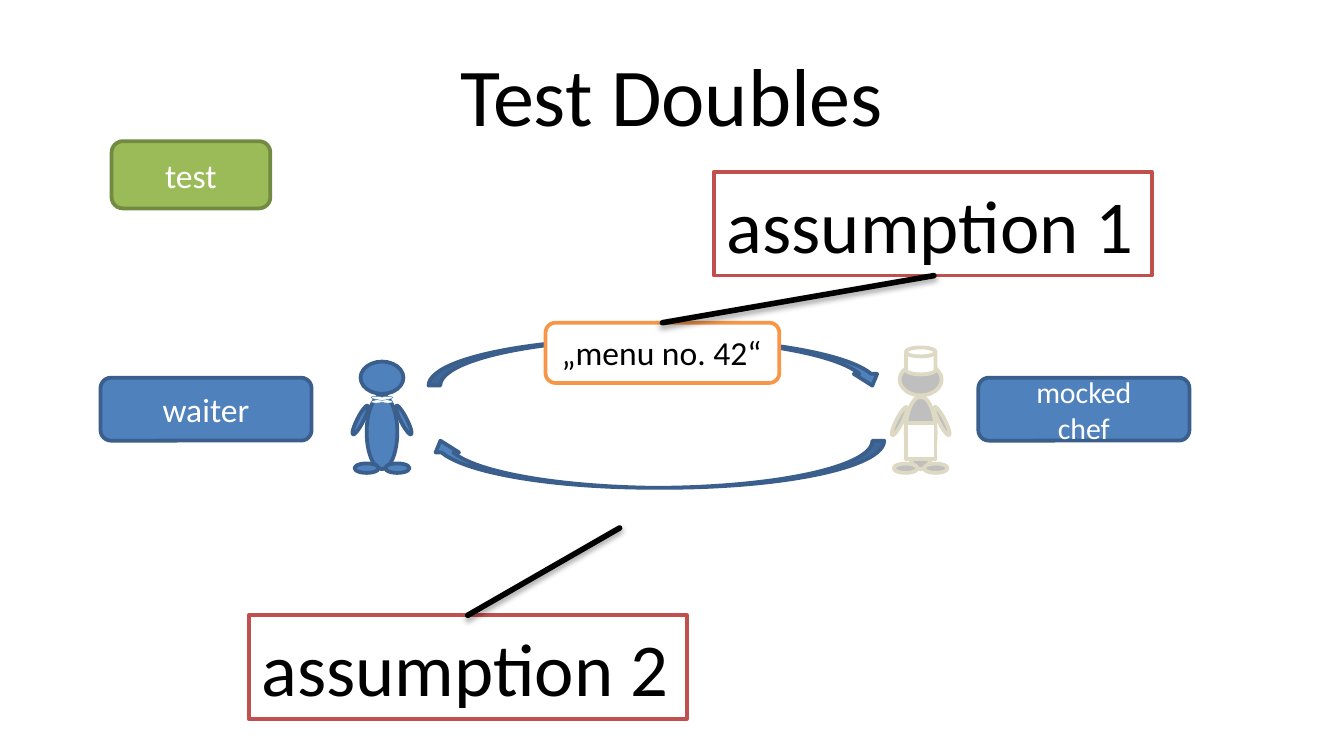
from lxml import etree
from pptx import Presentation
from pptx.dml.color import RGBColor
from pptx.enum import shapes, text
from pptx.oxml.ns import qn
from pptx.util import Cm, Pt

KIND = shapes.MSO_SHAPE
BLUE, NAVY, WHITE, BLACK = "4F81BD", "3A5F8C", "FFFFFF", "000000"
GREY, SAND, RED = "BFBFBF", "DDD9C3", "C0504D"

# Content: lengths in cm
TITLE = "Test Doubles"
# lines, size, box, fill, line
LABELS = [
    (["mocked", "chef"], 16, (18.49, 7.14, 3.99, 1.19), BLUE, NAVY),
    (["waiter"], 18, (1.9, 7.14, 3.99, 1.19), BLUE, NAVY),
    (["test"], 18, (2.11, 2.67, 3, 1.27), "9BBB59", "738A42"),
]
# words, size, kind, box, line
NOTES = [
    ("„menu no. 42“", 18, KIND.ROUNDED_RECTANGLE, (10.31, 6.1, 4.42, 1.14), "F79646"),
    ("assumption 1", 40, KIND.RECTANGLE, (13.49, 3.25, 8.28, 1.96), RED),
    ("assumption 2", 40, KIND.RECTANGLE, (4.7, 11.63, 8.28, 1.96), RED),
]
LINKS = [(17.65, 5.21, 12.52, 6.1), (8.84, 11.63, 11.71, 9.98)]
ARROWS = [((8.1, 6.4, 8.61, 0.89), 0), ((8.1, 8.33, 8.61, 0.89), 180)]

# Figure parts: kind, centre offset, centre height above floor, width, height, turn
FLOOR = 8.94
BODY = [
    (KIND.OVAL, 0, 1.8, 0.81, 0.61, 0),
    (KIND.OVAL, 0, 0.77, 0.58, 1.4, 0),
    (KIND.OVAL, 0.29, 0.09, 0.46, 0.18, 0),
    (KIND.OVAL, -0.29, 0.09, 0.46, 0.18, 0),
    (KIND.OVAL, 0.41, 1, 0.61, 0.12, 63),
    (KIND.OVAL, -0.41, 1, 0.61, 0.12, 117),
]
CHEF = [
    (KIND.FLOWCHART_MAGNETIC_DISK, 0, 2.16, 0.57, 0.52, 0),
    (KIND.RECTANGLE, 0, 0.61, 0.57, 0.7, 0),
]
BOW = [(KIND.HEART, 0, 1.36, 0.41, 0.08, 180), (KIND.HEART, 0, 1.41, 0.41, 0.08, 0)]
STUDS = [(KIND.OVAL, 0, y, 0.13, 0.08, 0) for y in (1.18, 1, 0.84)]


def rgb(code):
    return RGBColor.from_string(code)


def draw(home, kind, box, fill, line, width=2, turn=0):
    shape = home.add_shape(kind, *map(Cm, box))
    shape.shadow.inherit = False
    shape.rotation = turn
    shape.fill.solid()
    shape.fill.fore_color.rgb = rgb(fill)
    shape.line.color.rgb = rgb(line)
    shape.line.width = Pt(width)
    return shape


def write(frame, lines, size, color, align):
    for i, words in enumerate(lines):
        para = frame.add_paragraph() if i else frame.paragraphs[0]
        para.alignment = align
        run = para.add_run()
        run.text = words
        run.font.name = "Calibri"
        run.font.size = Pt(size)
        run.font.color.rgb = rgb(color)


def build(home, parts, mid, scale, fill, line, width=2):
    for kind, dx, up, w, h, turn in parts:
        w, h = w * scale, h * scale
        box = (mid + dx * scale - w / 2, FLOOR - up * scale - h / 2, w, h)
        draw(home, kind, box, fill, line, width, turn)


def link(home, ends):
    line = home.add_connector(shapes.MSO_CONNECTOR.STRAIGHT, *map(Cm, ends))
    line.line.color.rgb = rgb(BLACK)
    line.line.width = Pt(3)
    props = line._element.spPr
    props.find(qn("a:ln")).set("cap", "rnd")
    effect = etree.SubElement(props, qn("a:effectLst"))
    shade = etree.SubElement(effect, qn("a:outerShdw"), blurRad=str(Pt(3.1)),
                             dist=str(Pt(1.8)), dir="5400000", rotWithShape="0")
    tint = etree.SubElement(shade, qn("a:srgbClr"), val=BLACK)
    etree.SubElement(tint, qn("a:alpha"), val="35000")


def main():
    deck = Presentation()
    deck.slide_width, deck.slide_height = Cm(25.4), Cm(14.29)
    slide = deck.slides.add_slide(deck.slide_layouts[5])
    home = slide.shapes

    # Title
    head = home.title
    head.left, head.top, head.width, head.height = map(Cm, (1.27, 0.58, 22.86, 2.39))
    head.text_frame.vertical_anchor = text.MSO_ANCHOR.MIDDLE
    write(head.text_frame, [TITLE], 44, BLACK, text.PP_ALIGN.CENTER)

    # Chef and waiter
    chef = home.add_group_shape().shapes
    build(chef, BODY, 17.4, 0.98, GREY, SAND)
    build(chef, CHEF, 17.4, 0.98, WHITE, SAND)
    waiter = home.add_group_shape().shapes
    build(waiter, BODY, 7.22, 1, BLUE, NAVY)
    build(waiter, BOW, 7.22, 1, WHITE, BLUE, 0.25)
    build(home, STUDS, 7.22, 1, WHITE, BLUE)

    # Arrows between the two
    for box, turn in ARROWS:
        draw(home, KIND.CURVED_DOWN_ARROW, box, BLUE, NAVY, turn=turn)

    # Message and assumptions
    for words, size, kind, box, line in NOTES:
        frame = draw(home, kind, box, WHITE, line).text_frame
        frame.word_wrap = False
        frame.auto_size = text.MSO_AUTO_SIZE.SHAPE_TO_FIT_TEXT
        frame.vertical_anchor = text.MSO_ANCHOR.TOP
        write(frame, [words], size, BLACK, text.PP_ALIGN.LEFT)
    for ends in LINKS:
        link(home, ends)

    # Role labels
    for lines, size, box, fill, line in LABELS:
        frame = draw(home, KIND.ROUNDED_RECTANGLE, box, fill, line).text_frame
        frame.word_wrap = True
        frame.vertical_anchor = text.MSO_ANCHOR.MIDDLE
        write(frame, lines, size, WHITE, text.PP_ALIGN.CENTER)

    deck.save("out.pptx")


if __name__ == "__main__":
    main()
